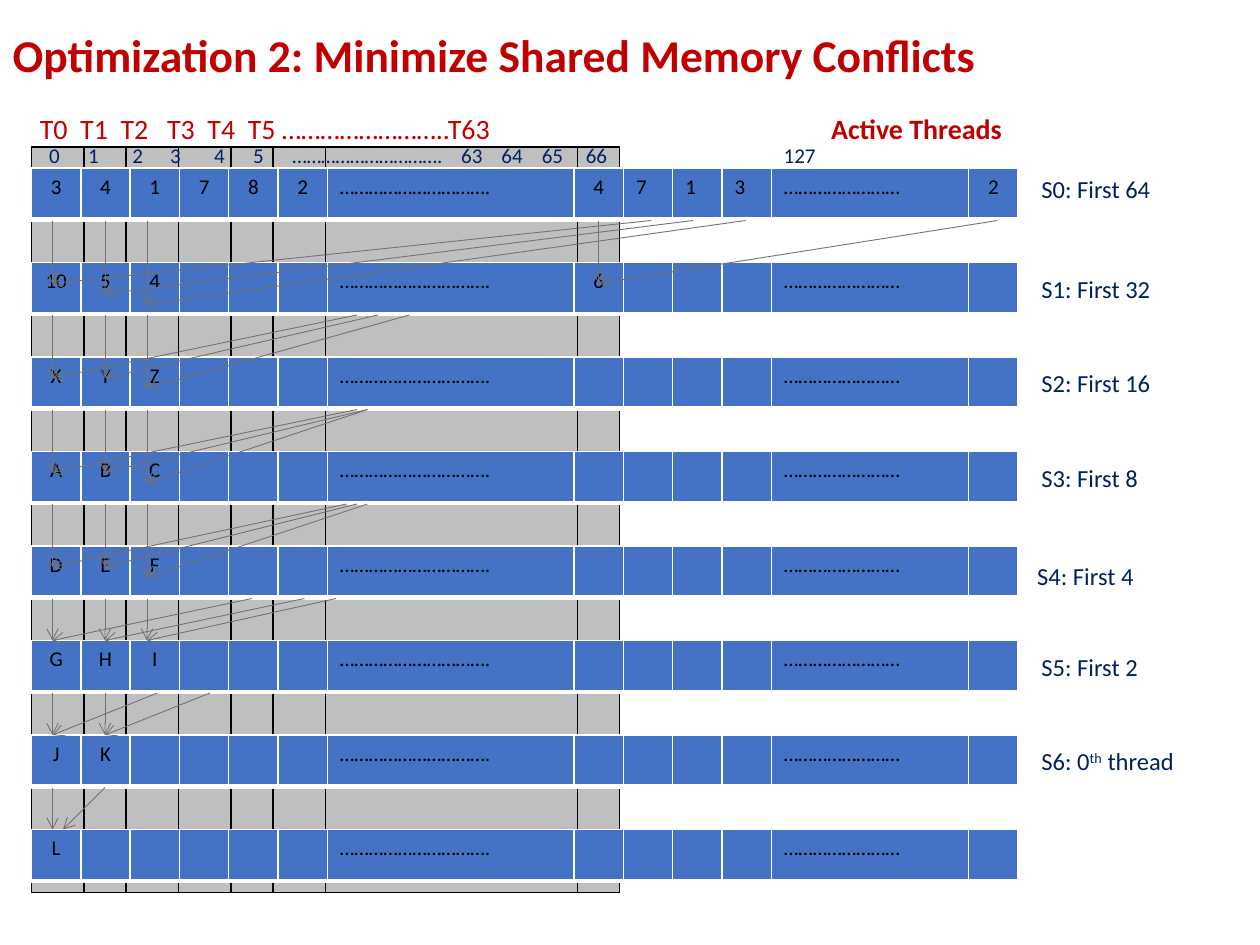
import pptx
import pptx.util
import pptx.dml.color
import pptx.enum.shapes
import pptx.enum.text
import pptx.oxml.ns
import lxml.etree

RED = pptx.dml.color.RGBColor(0xC0, 0x00, 0x00)
NAVY = pptx.dml.color.RGBColor(0x00, 0x20, 0x60)
BLUE = pptx.dml.color.RGBColor(0x44, 0x72, 0xC4)
GRAY = pptx.dml.color.RGBColor(0xBF, 0xBF, 0xBF)
ARROW_GRAY = pptx.dml.color.RGBColor(0x76, 0x71, 0x71)
BLACK = pptx.dml.color.RGBColor(0x00, 0x00, 0x00)
WHITE = pptx.dml.color.RGBColor(0xFF, 0xFF, 0xFF)

FONT = "Calibri"
GRID_COLUMNS, GRID_ROWS = 120, 90
FIRST_ROW, ROW_PITCH, CELL_HEIGHT = 16, 9, 4.92
BAND_EDGES = [3, 8, 12, 17, 22, 26, 31, 55, 59]
CELL_SHARES = [1] * 6 + [5] + [1] * 4 + [4, 1]
LEFT_ALIGNED_CELLS = {6, 8, 9, 10, 11}
LONG_DOTS, SHORT_DOTS = "………………………….", "……………………"
ARRAY_VALUES = [
    {0: "3", 1: "4", 2: "1", 3: "7", 4: "8", 5: "2", 7: "4", 8: "7", 9: "1", 10: "3", 12: "2"},
    {0: "10", 1: "5", 2: "4", 7: "6"},
    {0: "X", 1: "Y", 2: "Z"},
    {0: "A", 1: "B", 2: "C"},
    {0: "D", 1: "E", 2: "F"},
    {0: "G", 1: "H", 2: "I"},
    {0: "J", 1: "K"},
    {0: "L"},
]
REDUCTIONS = [
    [(62, 5, 6), (66, 10, 7), (71, 14, 8), (95, 57, 6)],
    [(34, 5, 6), (36, 10, 6), (39, 14, 7)],
    [(34, 5, 6), (35, 10, 6), (35, 14, 7)],
    [(33, 5, 6), (34, 10, 6), (35, 14, 7)],
    [(24, 5, 4), (29, 10, 4), (32, 14, 4)],
    [(15, 5, 4), (20, 10, 4)],
]
STEP_LABELS = [
    (98, 16, ["S0: First 64"]),
    (98, 25.5, ["S1: First 32"]),
    (98, 34.5, ["S2: First 16"]),
    (98, 43.5, ["S3: First 8"]),
    (97.6, 52.8, ["S4: First 4"]),
    (98, 61.5, ["S5: First 2"]),
    (98, 70.5, ["S6: 0", "th", " thread"]),
]


class SlideBuilder:
    """Draws styled elements on one slide, with lengths in grid columns and rows."""

    def __init__(self, presentation):
        self.slide = presentation.slides.add_slide(presentation.slide_layouts[5])
        self.column = presentation.slide_width / GRID_COLUMNS
        self.row = presentation.slide_height / GRID_ROWS

    def place(self, column, row, width, height):
        return (round(column * self.column), round(row * self.row),
                round(width * self.column), round(height * self.row))

    def format_run(self, run, size, color, bold=False):
        run.font.name = FONT
        run.font.size = pptx.util.Pt(size)
        run.font.color.rgb = color
        run.font.bold = bold

    def title(self, text, box):
        shape = self.slide.shapes.title
        shape.left, shape.top, shape.width, shape.height = self.place(*box)
        shape.text_frame.text = text
        shape.text_frame.vertical_anchor = pptx.enum.text.MSO_ANCHOR.MIDDLE
        paragraph = shape.text_frame.paragraphs[0]
        paragraph.alignment = pptx.enum.text.PP_ALIGN.LEFT
        self.format_run(paragraph.runs[0], 26, RED, True)

    def band(self, *box):
        shape = self.slide.shapes.add_shape(
            pptx.enum.shapes.MSO_SHAPE.RECTANGLE, *self.place(*box))
        shape.shadow.inherit = False
        shape.fill.solid()
        shape.fill.fore_color.rgb = GRAY
        shape.line.color.rgb = BLACK
        shape.line.width = pptx.util.Pt(0.75)

    def border(self, cell, side, width):
        properties = cell._tc.get_or_add_tcPr()
        line = lxml.etree.SubElement(
            properties, pptx.oxml.ns.qn("a:" + side), w=str(pptx.util.Pt(width)))
        fill = lxml.etree.SubElement(line, pptx.oxml.ns.qn("a:solidFill"))
        lxml.etree.SubElement(fill, pptx.oxml.ns.qn("a:srgbClr"), val=str(WHITE))

    def array(self, values, box):
        frame = self.slide.shapes.add_table(1, len(CELL_SHARES), *self.place(*box))
        table = frame.table
        table.first_row = table.horz_banding = False
        share_width = frame.width / sum(CELL_SHARES)
        for index, share in enumerate(CELL_SHARES):
            table.columns[index].width = round(share * share_width)
            cell = table.cell(0, index)
            for side, width in (("lnL", 1), ("lnR", 1), ("lnT", 1), ("lnB", 3)):
                self.border(cell, side, width)
            cell.fill.solid()
            cell.fill.fore_color.rgb = BLUE
            if index in values:
                cell.text_frame.text = values[index]
                paragraph = cell.text_frame.paragraphs[0]
                if index not in LEFT_ALIGNED_CELLS:
                    paragraph.alignment = pptx.enum.text.PP_ALIGN.CENTER
                self.format_run(paragraph.runs[0], 12, BLACK)

    def text(self, parts, box, size, color, tabs=(), inset=0.1):
        shape = self.slide.shapes.add_textbox(*self.place(*box))
        shape.text_frame.word_wrap = True
        shape.text_frame.margin_left = pptx.util.Inches(inset)
        paragraph = shape.text_frame.paragraphs[0]
        if tabs:
            tab_list = lxml.etree.SubElement(
                paragraph._p.get_or_add_pPr(), pptx.oxml.ns.qn("a:tabLst"))
            for tab in tabs:
                lxml.etree.SubElement(tab_list, pptx.oxml.ns.qn("a:tab"),
                                      pos=str(pptx.util.Inches(tab)), algn="l")
        for part in parts:
            run = paragraph.add_run()
            run.text = part
            self.format_run(run, size, color)
        return paragraph.runs

    def arrow(self, start_column, start_row, end_column, end_row):
        start = self.place(start_column, start_row, 0, 0)[:2]
        end = self.place(end_column, end_row, 0, 0)[:2]
        connector = self.slide.shapes.add_connector(
            pptx.enum.shapes.MSO_CONNECTOR.STRAIGHT, *start, *end)
        connector.line.color.rgb = ARROW_GRAY
        connector.line.width = pptx.util.Pt(0.5)
        lxml.etree.SubElement(connector.line._get_or_add_ln(),
                              pptx.oxml.ns.qn("a:tailEnd"), type="arrow")
        lxml.etree.SubElement(connector._element.spPr, pptx.oxml.ns.qn("a:effectLst"))


def main():
    presentation = pptx.Presentation()
    presentation.slide_width = pptx.util.Inches(10)
    presentation.slide_height = pptx.util.Inches(7.5)
    builder = SlideBuilder(presentation)
    builder.title("Optimization 2: Minimize Shared Memory Conflicts", (0, 0, 120, 10.4))

    for left, right in reversed(list(zip(BAND_EDGES, BAND_EDGES[1:]))):
        builder.band(left, 14, right - left, 71)
    for step, values in enumerate(ARRAY_VALUES):
        builder.array({**values, 6: LONG_DOTS, 11: SHORT_DOTS},
                      (3, FIRST_ROW + step * ROW_PITCH, 94, CELL_HEIGHT))

    thread_runs = builder.text(
        ["T0\tT1\tT2\tT3\tT4\tT5 ……………………..T63\t", "Active Threads"],
        (2, 10, 118, 4.4), 16, RED, (0.32, 0.64, 1.01, 1.33, 1.65, 6.28), 0.15)
    thread_runs[1].font.bold = True

    for column, row, parts in STEP_LABELS:
        label_runs = builder.text(parts, (column, row, 120 - column, 4), 14, NAVY)
        if len(parts) > 1:
            label_runs[1]._r.get_or_add_rPr().set("baseline", "30000")

    for step, additions in enumerate(REDUCTIONS):
        row = FIRST_ROW + 5 + step * ROW_PITCH
        for source, target, drop in additions:
            builder.arrow(target, row, target, row + drop)
            builder.arrow(source, row, target, row + drop)
    builder.arrow(5, 75, 5, 79)
    builder.arrow(10, 75, 6, 79)

    builder.text(
        ["0\t1\t2\t3\t4\t5\t" + LONG_DOTS + "\t63\t64\t65\t66\t127"],
        (3, 13, 97, 3.6), 12, NAVY,
        (0.31, 0.66, 0.96, 1.31, 1.62, 1.93, 3.27, 3.59, 3.91, 4.26, 5.83), 0.14)
    presentation.save("out.pptx")


if __name__ == "__main__":
    main()
